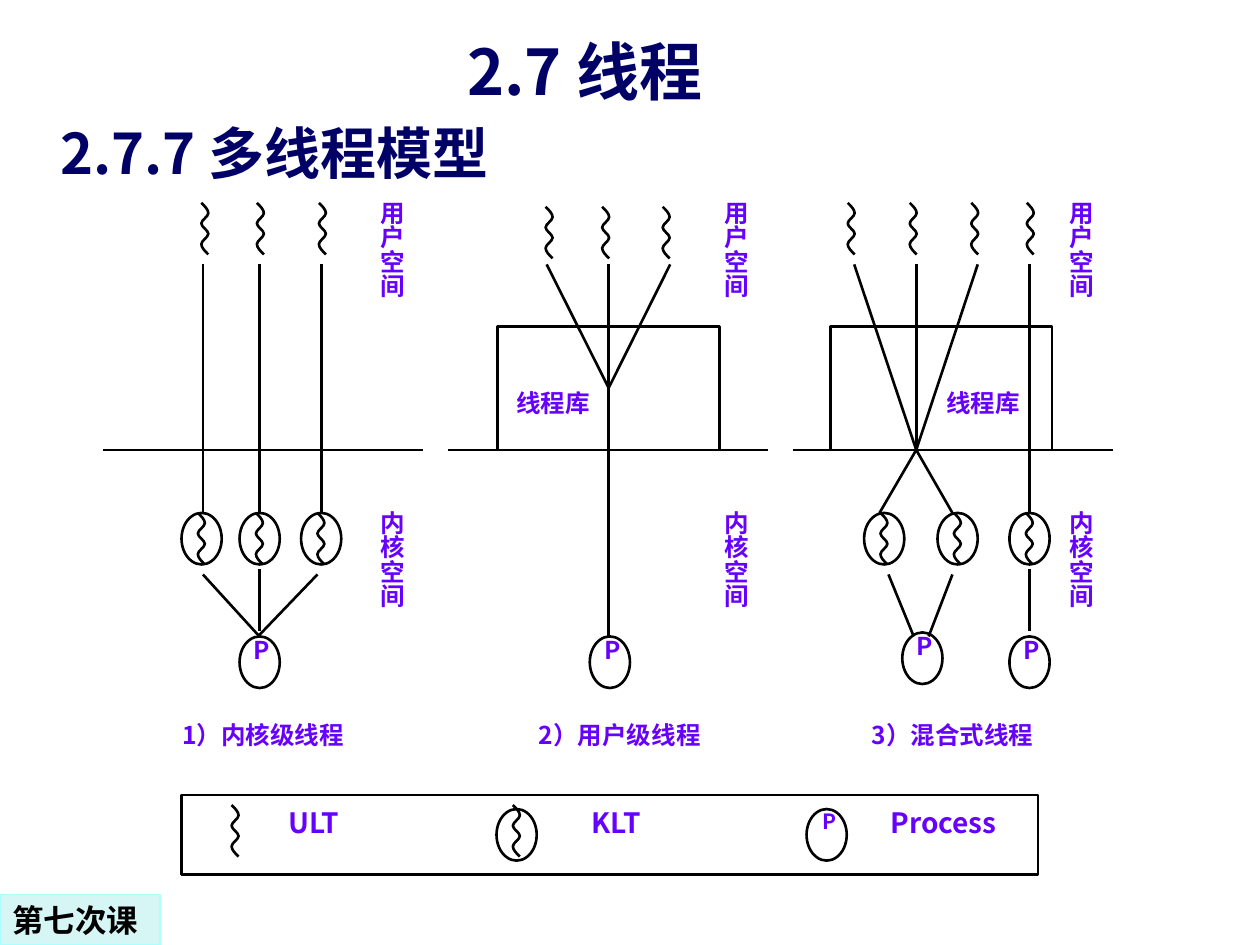
from lxml import etree
from pptx import Presentation
from pptx import util as u
from pptx.dml.color import RGBColor
from pptx.enum import shapes, text
from pptx.oxml.ns import qn

BLACK, WHITE, NAVY, VIOLET = "000000", "FFFFFF", "000066", "6600FF"
CJK = "Noto Sans CJK SC"

# Content; every length is in centimetres
HEADINGS = [  # text, box, size, alignment
    ("2.7 线程", (1.63, 0.23, 20.32, 2.08), 36, text.PP_ALIGN.CENTER),
    ("2.7.7 多线程模型", (0.97, 2.11, 20.32, 1.75), 32, text.PP_ALIGN.LEFT),
]
LESSON = "第七次课"
SPACES = [("用户空间", 4.09), ("内核空间", 10.34)]
LIBRARY = "线程库"

PANEL_LEFT, PANEL_PITCH, PANEL_WIDTH = 2.08, 6.95, 6.45
LABEL_OFFSET = 5.46
THREAD_END, LIBRARY_TOP, JOIN_Y, BORDER_Y = 5.33, 6.58, 7.82, 9.07
KLT_TOP, KLT_END, PROCESS_TOP = 10.34, 11.58, 12.83
CIRCLE_WIDTH, CIRCLE_HEIGHT = 0.81, 1.04
WAVE_WIDTH, WAVE_HEIGHT = 0.14, 1.04

PANELS = [
    dict(caption="1）内核级线程", caption_left=3.58,
         ult_top=4.09, ult=[4.06, 5.18, 6.43],
         klt=[3.66, 4.83, 6.07], process=[(4.83, PROCESS_TOP)],
         links=[(x, THREAD_END, x, KLT_TOP) for x in (4.09, 5.23, 6.48)]
         + [(5.23, 11.48, 5.23, 12.73),
            (4.09, KLT_END, 5.23, PROCESS_TOP),
            (6.4, KLT_END, 5.2, PROCESS_TOP)]),
    dict(caption="2）用户级线程", caption_left=10.77,
         ult_top=4.17, ult=[11.0, 12.14, 13.36],
         klt=[], process=[(11.89, PROCESS_TOP)],
         library=(10.03, 10.29),
         links=[(11.02, THREAD_END, 12.27, JOIN_Y),
                (12.27, THREAD_END, 12.27, PROCESS_TOP),
                (13.51, THREAD_END, 12.27, JOIN_Y)]),
    dict(caption="3）混合式线程", caption_left=17.48,
         ult_top=4.09, ult=[17.09, 18.34, 19.58, 20.7],
         klt=[17.42, 18.9, 20.35],
         process=[(18.19, 12.75), (20.35, PROCESS_TOP)],
         library=(16.74, 18.95),
         links=[(x, THREAD_END, 18.47, BORDER_Y) for x in (17.22, 18.47, 19.71)]
         + [(18.47, BORDER_Y, x, KLT_TOP) for x in (17.73, 19.2)]
         + [(20.75, THREAD_END, 20.75, KLT_TOP),
            (20.75, 11.48, 20.75, 12.73),
            (17.91, KLT_END, 18.42, PROCESS_TOP),
            (19.2, KLT_END, 18.72, PROCESS_TOP)]),
]
LEGEND_BOX = (3.66, 16.03, 17.27, 1.6)
LEGEND = [("ULT", 5.18), ("KLT", 11.28), ("Process", 17.88)]
LEGEND_TOP, LEGEND_WAVE_TOP = 16.31, 16.23

presentation = Presentation()
presentation.slide_width, presentation.slide_height = u.Cm(25.4), u.Cm(19.05)
slide = presentation.slides.add_slide(presentation.slide_layouts[6])


def color(value):
    return RGBColor.from_string(value)


def paint(shape, fill=None, line=None, width=1.5):
    shape.shadow.inherit = False
    if fill:
        shape.fill.solid()
        shape.fill.fore_color.rgb = color(fill)
    else:
        shape.fill.background()
    if line:
        shape.line.color.rgb = color(line)
        shape.line.width = u.Pt(width)
    else:
        shape.line.fill.background()


def add_shape(kind, box, fill=None, line=None, width=1.5):
    shape = slide.shapes.add_shape(kind, *map(u.Cm, box))
    paint(shape, fill, line, width)
    return shape


def write(shape, words, size, ink, align, font=CJK, spacing=None):
    paragraph = shape.text_frame.paragraphs[0]
    paragraph.text = words
    paragraph.alignment = align
    if spacing:
        paragraph.line_spacing = spacing
    paragraph.font.name = font
    paragraph.font.size = u.Pt(size)
    paragraph.font.bold = True
    paragraph.font.color.rgb = color(ink)
    properties = paragraph.font._element
    etree.SubElement(properties, qn("a:ea")).set("typeface", CJK)


def add_label(words, box, size=14, spacing=0.83):
    shape = add_shape(shapes.MSO_SHAPE.RECTANGLE, box, WHITE)
    frame = shape.text_frame
    frame.margin_left = frame.margin_right = frame.margin_top = frame.margin_bottom = 0
    frame.vertical_anchor = text.MSO_ANCHOR.TOP
    frame.word_wrap = True
    write(shape, words, size, VIOLET, text.PP_ALIGN.CENTER, spacing=spacing)


def add_line(x1, y1, x2, y2):
    line = slide.shapes.add_connector(
        shapes.MSO_CONNECTOR.STRAIGHT, *map(u.Cm, (x1, y1, x2, y2)))
    line.line.color.rgb = color(BLACK)
    line.line.width = u.Pt(1.5)
    etree.SubElement(line.element.spPr, qn("a:effectLst"))


def add_wave(left, top):
    """Five joined Bezier curves through evenly spaced control points."""
    sides = [0, 0.5, 1, 1, 1, 0, 0, 0, 1, 1, 1, 0, 0, 0, 0.5, 1]
    points = [(u.Cm(left + side * WAVE_WIDTH), u.Cm(top + i * WAVE_HEIGHT / 15))
              for i, side in enumerate(sides)]
    builder = slide.shapes.build_freeform(*points[0])
    builder.add_line_segments(points[1:], close=False)
    shape = builder.convert_to_shape()
    outline = shape.element.xpath(".//a:path")[0]
    steps = outline.findall(qn("a:lnTo"))
    for first in range(0, len(steps), 3):
        curve = etree.SubElement(outline, qn("a:cubicBezTo"))
        for step in steps[first:first + 3]:
            curve.append(step[0])
            outline.remove(step)
    paint(shape, line=BLACK)


def add_circle(left, top):
    add_shape(shapes.MSO_SHAPE.OVAL, (left, top, CIRCLE_WIDTH, CIRCLE_HEIGHT), line=BLACK)


def add_kernel_thread(left, top, wave_top):
    add_wave(left + 0.33, wave_top)
    add_circle(left, top)


def add_process(left, top, size=14):
    add_label("P", (left + 0.05, top + 0.08, CIRCLE_WIDTH, 0.86), size)
    add_circle(left, top)


# Headings and lesson tag
for words, box, size, align in HEADINGS:
    heading = slide.shapes.add_textbox(*map(u.Cm, box))
    heading.text_frame.word_wrap = True
    heading.text_frame.vertical_anchor = text.MSO_ANCHOR.BOTTOM
    write(heading, words, size, NAVY, align)
tag = add_shape(shapes.MSO_SHAPE.RECTANGLE, (0, 18.03, 3.23, 1.02), "D6F5F5", "ADFFFF", 0.75)
tag.text_frame.word_wrap = False
tag.text_frame.vertical_anchor = text.MSO_ANCHOR.MIDDLE
write(tag, LESSON, 18, BLACK, text.PP_ALIGN.LEFT, "DejaVu Sans")

# Three threading models
for index, panel in enumerate(PANELS):
    left = PANEL_LEFT + index * PANEL_PITCH
    for words, top in SPACES:
        add_label(words, (left + LABEL_OFFSET, top, 0.74, 3.73))
    add_label(panel["caption"], (panel["caption_left"], 14.61, 3.45, 0.99))
    if "library" in panel:
        box_left, label_left = panel["library"]
        add_label(LIBRARY, (label_left, 7.92, 1.73, 0.97))
        add_shape(shapes.MSO_SHAPE.RECTANGLE,
                  (box_left, LIBRARY_TOP, 4.47, BORDER_Y - LIBRARY_TOP), line=BLACK)
    add_line(left, BORDER_Y, left + PANEL_WIDTH, BORDER_Y)
    for x in panel["ult"]:
        add_wave(x, panel["ult_top"])
    for x in panel["klt"]:
        add_kernel_thread(x, KLT_TOP, KLT_TOP)
    for x, y in panel["process"]:
        add_process(x, y)
    for link in panel["links"]:
        add_line(*link)

# Legend
add_shape(shapes.MSO_SHAPE.RECTANGLE, LEGEND_BOX, WHITE, BLACK)
for words, left in LEGEND:
    add_label(words, (left, LEGEND_TOP, 2.29, 1.04), 16, 0.9)
add_wave(4.67, LEGEND_WAVE_TOP)
add_kernel_thread(10.01, LEGEND_TOP, LEGEND_WAVE_TOP)
add_process(16.26, LEGEND_TOP, 12)

presentation.save("out.pptx")
